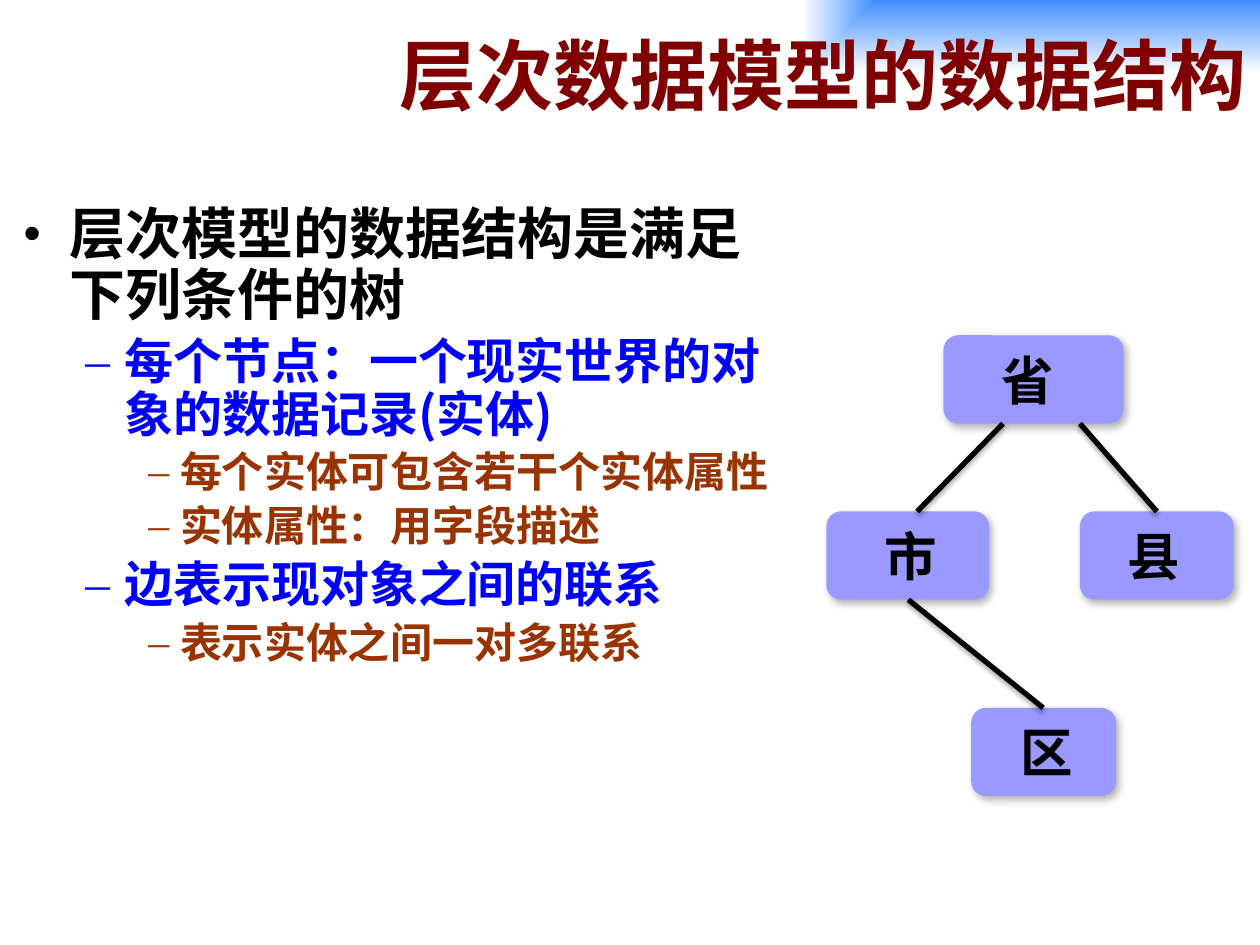
"""Build a slide on the data structure of the hierarchical data model."""
from dataclasses import dataclass

from lxml import etree
from pptx import Presentation
from pptx import util as u
from pptx.dml.color import RGBColor
from pptx.enum import shapes, text
from pptx.oxml.ns import qn

COLOURS = {"black": "000000", "topic": "0000FF", "detail": "993300",
           "title": "800000", "node": "9999FF", "sky": "3F8DFF", "white": "FFFFFF"}
CJK, LATIN = "Noto Sans CJK JP", "Times New Roman"
NODE_HEIGHT = 1.78


@dataclass(frozen=True)
class Level:
    size: int
    colour: str
    margin: float
    hanging: float
    bullet: str


@dataclass(frozen=True)
class Node:
    name: str
    left: float
    top: float
    width: float
    label_left: float


@dataclass(frozen=True)
class Edge:
    start: tuple[float, float]
    end: tuple[float, float]


@dataclass(frozen=True)
class Shadow:
    alpha: int
    blur: float
    distance: float
    angle: int


LEVELS = [Level(32, "black", 0.95, 0.95, "•"),
          Level(28, "topic", 2.06, 0.79, "–"),
          Level(24, "detail", 3.18, 0.64, "–")]
OUTLINE = [(0, "层次模型的数据结构是满足下列条件的树"),
           (1, "每个节点：一个现实世界的对象的数据记录(实体)"),
           (2, "每个实体可包含若干个实体属性"),
           (2, "实体属性：用字段描述"),
           (1, "边表示现对象之间的联系"),
           (2, "表示实体之间一对多联系")]
ROWS = (6.76, 10.31, 14.27)
NODES = [Node("省", 19.02, ROWS[0], 3.63, 19.94),
         Node("市", 16.66, ROWS[1], 3.28, 17.58),
         Node("县", 21.77, ROWS[1], 3.1, 22.48),
         Node("区", 19.58, ROWS[2], 2.92, 20.32)]
EDGES = [Edge((20.22, ROWS[0] + NODE_HEIGHT), (18.49, ROWS[1])),
         Edge((21.77, ROWS[0] + NODE_HEIGHT), (23.32, ROWS[1])),
         Edge((18.31, ROWS[1] + NODE_HEIGHT), (21.03, ROWS[2]))]
NODE_SHADOW = Shadow(30, 4.5, 2.6, 53)
EDGE_SHADOW = Shadow(35, 3.1, 1.8, 90)


def rgb(name: str) -> RGBColor:
    """Return the named colour."""
    return RGBColor.from_string(COLOURS[name])


def style(paragraph, size: int, colour: str, latin: str) -> None:
    """Set the bold font of a paragraph for Latin and Chinese text."""
    font = paragraph.font
    font.size, font.bold, font.name = u.Pt(size), True, latin
    font.color.rgb = rgb(colour)
    properties = paragraph._p.pPr.find(qn("a:defRPr"))
    etree.SubElement(properties, qn("a:ea"), typeface=CJK)


def add_shadow(properties, shadow: Shadow) -> None:
    """Append an outer shadow to shape properties."""
    effects = etree.SubElement(properties, qn("a:effectLst"))
    outer = etree.SubElement(effects, qn("a:outerShdw"),
                             blurRad=str(u.Pt(shadow.blur)), dist=str(u.Pt(shadow.distance)),
                             dir=str(shadow.angle * 60000), algn="ctr", rotWithShape="0")
    colour = etree.SubElement(outer, qn("a:srgbClr"), val=COLOURS["black"])
    etree.SubElement(colour, qn("a:alpha"), val=str(shadow.alpha * 1000))


def add_outline(slide) -> None:
    """Add the bulleted outline."""
    frame = slide.shapes.add_textbox(u.Cm(0.2), u.Cm(4.04), u.Cm(15.9), u.Cm(13.69)).text_frame
    frame.word_wrap = True
    for index, (depth, wording) in enumerate(OUTLINE):
        level = LEVELS[depth]
        paragraph = frame.add_paragraph() if index else frame.paragraphs[0]
        paragraph.text, paragraph.level = wording, depth
        paragraph.line_spacing = 0.9
        paragraph.space_before = u.Pt(level.size * 0.2)
        style(paragraph, level.size, level.colour, CJK)
        properties = paragraph._p.pPr
        properties.set("marL", str(u.Cm(level.margin)))
        properties.set("indent", str(-u.Cm(level.hanging)))
        font = properties.find(qn("a:defRPr"))
        font.addprevious(etree.Element(qn("a:buFont"), typeface=LATIN))
        font.addprevious(etree.Element(qn("a:buChar"), char=level.bullet))


def add_node(tree, node: Node) -> None:
    """Add the rounded box of a node."""
    box = tree.shapes.add_shape(shapes.MSO_SHAPE.ROUNDED_RECTANGLE, u.Cm(node.left),
                                u.Cm(node.top), u.Cm(node.width), u.Cm(NODE_HEIGHT))
    box.fill.solid()
    box.fill.fore_color.rgb = rgb("node")
    box.line.fill.background()
    add_shadow(box._element.spPr, NODE_SHADOW)


def add_edge(tree, edge: Edge) -> None:
    """Add the line between two nodes."""
    line = tree.shapes.add_connector(shapes.MSO_CONNECTOR.STRAIGHT,
                                     *(u.Cm(value) for value in edge.start + edge.end))
    line.line.color.rgb = rgb("black")
    line.line.width = u.Pt(3)
    add_shadow(line._element.spPr, EDGE_SHADOW)


def add_label(tree, node: Node) -> None:
    """Add the name of a node."""
    label = tree.shapes.add_textbox(u.Cm(node.label_left), u.Cm(node.top), u.Cm(1.45), u.Cm(1.65))
    frame = label.text_frame
    frame.word_wrap = False
    frame.auto_size = text.MSO_AUTO_SIZE.SHAPE_TO_FIT_TEXT
    paragraph = frame.paragraphs[0]
    paragraph.text = node.name
    paragraph.alignment = text.PP_ALIGN.JUSTIFY
    paragraph.line_spacing, paragraph.space_before = 1.1, u.Pt(6)
    style(paragraph, 30, "black", LATIN)


def add_title(slide) -> None:
    """Add the title band with its gradient from the top right corner."""
    band = slide.shapes.add_shape(shapes.MSO_SHAPE.RECTANGLE, u.Cm(6.93), 0, u.Cm(18.47), u.Cm(2.97))
    band.shadow.inherit = False
    band.line.fill.background()
    band.fill.gradient()
    for stop, colour in zip(band.fill.gradient_stops, ("sky", "white")):
        stop.color.rgb = rgb(colour)
    gradient = band._element.spPr.find(qn("a:gradFill"))
    gradient.remove(gradient.find(qn("a:lin")))
    centre = etree.Element(qn("a:path"), path="rect")
    etree.SubElement(centre, qn("a:fillToRect"), l="100000", b="100000")
    gradient.find(qn("a:gsLst")).addnext(centre)
    frame = band.text_frame
    frame.vertical_anchor = text.MSO_ANCHOR.MIDDLE
    paragraph = frame.paragraphs[0]
    paragraph.text = "层次数据模型的数据结构"
    paragraph.alignment = text.PP_ALIGN.RIGHT
    style(paragraph, 44, "title", CJK)


def main() -> None:
    """Build and save the slide."""
    deck = Presentation()
    deck.slide_width, deck.slide_height = u.Cm(25.4), u.Cm(19.05)
    slide = deck.slides.add_slide(deck.slide_layouts[6])
    add_outline(slide)
    tree = slide.shapes.add_group_shape()
    for node in NODES:
        add_node(tree, node)
    for edge in EDGES:
        add_edge(tree, edge)
    for node in NODES:
        add_label(tree, node)
    add_title(slide)
    deck.save("out.pptx")


if __name__ == "__main__":
    main()
